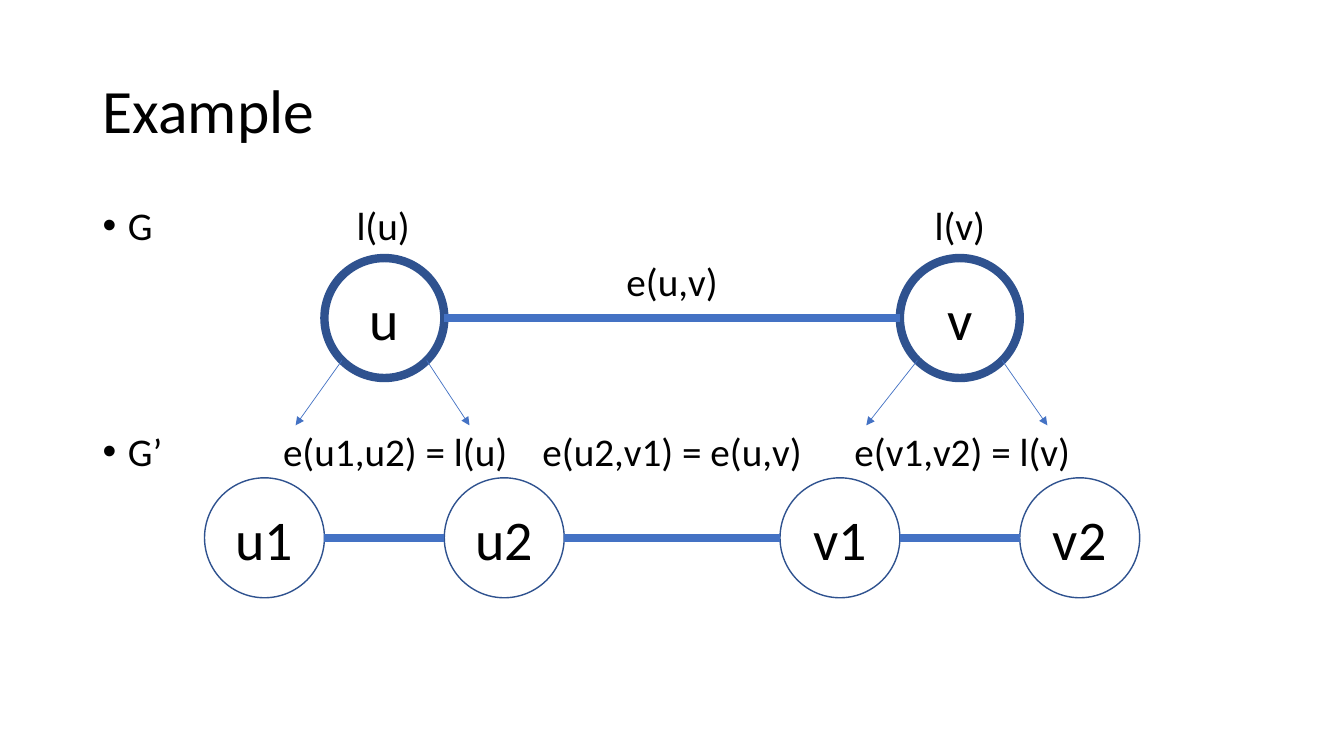
from dataclasses import dataclass
from math import sqrt

from lxml.etree import SubElement
from pptx import Presentation
from pptx.dml.color import RGBColor
from pptx.enum.shapes import MSO_CONNECTOR, MSO_SHAPE
from pptx.enum.text import MSO_ANCHOR, MSO_AUTO_SIZE, PP_ALIGN
from pptx.oxml.ns import qn
from pptx.util import Inches, Pt


@dataclass(frozen=True)
class Theme:
    """Colours, font, type sizes and line widths of the slide."""
    font: str = "Calibri"
    text: RGBColor = RGBColor(0x00, 0x00, 0x00)
    outline: RGBColor = RGBColor(0x2F, 0x52, 0x8F)
    edge: RGBColor = RGBColor(0x44, 0x72, 0xC4)
    title_size: int = 44
    label_size: int = 28
    node_size: int = 40
    thick: float = 6
    thin: float = 1
    hairline: float = 0.5


THEME = Theme()
GRID_LEFT = 2.03
DIAMETER = 1.19
TEXT_TOP = 2.05
TEXT_PITCH = 0.56
TEXT_HEIGHT = 0.43
MARGIN = 0.92
GRAPH_TOP = 2.56
SPLIT_TOP = 4.74
ARROW_END = 4.22
LEFT, LOWER_LEFT, LOWER_RIGHT, RIGHT = 2, 3, 5, 6


def column_x(column):
    """Return the horizontal place of a column, one node diameter wide."""
    return Inches(GRID_LEFT + column * DIAMETER)


def row_y(row):
    """Return the top of a text row."""
    return Inches(TEXT_TOP + row * TEXT_PITCH)


def write(frame, text, size, align, anchor):
    """Put one formatted run into a text frame and return its paragraph."""
    frame.auto_size = MSO_AUTO_SIZE.NONE
    frame.word_wrap = True
    frame.vertical_anchor = anchor
    para = frame.paragraphs[0]
    para.alignment = align
    span = para.add_run()
    span.text = text
    span.font.name = THEME.font
    span.font.size = Pt(size)
    span.font.color.rgb = THEME.text
    return para


def add_title(page, text):
    """Place and format the title."""
    title = page.shapes.title
    title.left, title.top = Inches(MARGIN), Inches(0.4)
    title.width, title.height = Inches(11.5), Inches(1.45)
    para = write(title.text_frame, text, THEME.title_size, PP_ALIGN.LEFT, MSO_ANCHOR.MIDDLE)
    para.line_spacing = 0.9


def add_text_line(page, text, left, row, width, align):
    """Add one line of text without margins on a text row."""
    box = page.shapes.add_textbox(left, row_y(row), width, Inches(TEXT_HEIGHT))
    frame = box.text_frame
    frame.margin_left = frame.margin_right = frame.margin_top = frame.margin_bottom = 0
    para = write(frame, text, THEME.label_size, align, MSO_ANCHOR.TOP)
    para.line_spacing = 0.9
    return para


def add_label(page, text, column, row):
    """Add a label centred on a column position."""
    width = Inches(2.7)
    add_text_line(page, text, column_x(column) - width // 2, row, width, PP_ALIGN.CENTER)


def add_bullet(page, text, row):
    """Add a bulleted line at the left margin."""
    para = add_text_line(page, text, Inches(MARGIN + 0.1), row, Inches(1), PP_ALIGN.LEFT)
    properties = para._p.get_or_add_pPr()
    properties.set("marL", str(Inches(0.25)))
    properties.set("indent", str(-Inches(0.25)))
    SubElement(properties, qn("a:buFont"), typeface="Arial")
    SubElement(properties, qn("a:buChar"), char="•")


def add_node(page, text, column, top, line_width):
    """Add a round graph node."""
    size = Inches(DIAMETER)
    node = page.shapes.add_shape(
        MSO_SHAPE.FLOWCHART_CONNECTOR, column_x(column), Inches(top), size, size)
    node.shadow.inherit = False
    node.fill.background()
    node.line.color.rgb = THEME.outline
    node.line.width = Pt(line_width)
    write(node.text_frame, text, THEME.node_size, PP_ALIGN.CENTER, MSO_ANCHOR.MIDDLE)
    return node


def site_point(node, site):
    """Return the place of a connection site on a node's rim."""
    radius = node.width / 2
    diagonal = radius / sqrt(2)
    across, down = {
        LEFT: (-radius, 0), RIGHT: (radius, 0),
        LOWER_LEFT: (-diagonal, diagonal), LOWER_RIGHT: (diagonal, diagonal),
    }[site]
    return round(node.left + radius + across), round(node.top + radius + down)


def attach(connector, tag, node, site):
    """Join one end of a connector to a node's connection site."""
    properties = connector._element.nvCxnSpPr.cNvCxnSpPr
    SubElement(properties, qn(tag), id=str(node.shape_id), idx=str(site))


def add_line(page, node, site, end, width):
    """Add a straight line from a node's rim to a point."""
    line = page.shapes.add_connector(MSO_CONNECTOR.STRAIGHT, *site_point(node, site), *end)
    line.line.color.rgb = THEME.edge
    line.line.width = Pt(width)
    attach(line, "a:stCxn", node, site)
    SubElement(line._element.spPr, qn("a:effectLst"))
    return line


def add_edge(page, first, second):
    """Join two neighbouring nodes with a thick edge."""
    edge = add_line(page, first, RIGHT, site_point(second, LEFT), THEME.thick)
    attach(edge, "a:endCxn", second, LEFT)


def add_split_arrow(page, node, site, end_column):
    """Add a thin arrow from a node down to the split graph."""
    end = column_x(end_column), Inches(ARROW_END)
    arrow = add_line(page, node, site, end, THEME.hairline)
    SubElement(arrow.line._get_or_add_ln(), qn("a:tailEnd"), type="triangle")


def main():
    """Build the slide and save it."""
    deck = Presentation()
    deck.slide_width, deck.slide_height = Inches(13.34), Inches(7.5)
    page = deck.slides.add_slide(deck.slide_layouts[5])
    add_title(page, "Example")

    for text, row in (("G", 0), ("G’", 4)):
        add_bullet(page, text, row)
    for text, column, row in (
        ("l(u)", 1.49, 0), ("l(v)", 6.3, 0), ("e(u,v)", 3.9, 1),
        ("e(u1,u2) = l(u)", 1.59, 4),
        ("e(u2,v1) = e(u,v)", 3.9, 4),
        ("e(v1,v2) = l(v)", 6.32, 4),
    ):
        add_label(page, text, column, row)

    graph = [add_node(page, text, column, GRAPH_TOP, THEME.thick)
             for text, column in (("u", 1), ("v", 5.8))]
    split = [add_node(page, text, column, SPLIT_TOP, THEME.thin)
             for text, column in (("u1", 0), ("u2", 2), ("v1", 4.8), ("v2", 6.8))]
    for nodes in (graph, split):
        for first, second in zip(nodes, nodes[1:]):
            add_edge(page, first, second)

    for node, ends in zip(graph, ((0.76, 2.21), (5.52, 7.03))):
        for site, end_column in zip((LOWER_LEFT, LOWER_RIGHT), ends):
            add_split_arrow(page, node, site, end_column)

    deck.save("out.pptx")


if __name__ == "__main__":
    main()
